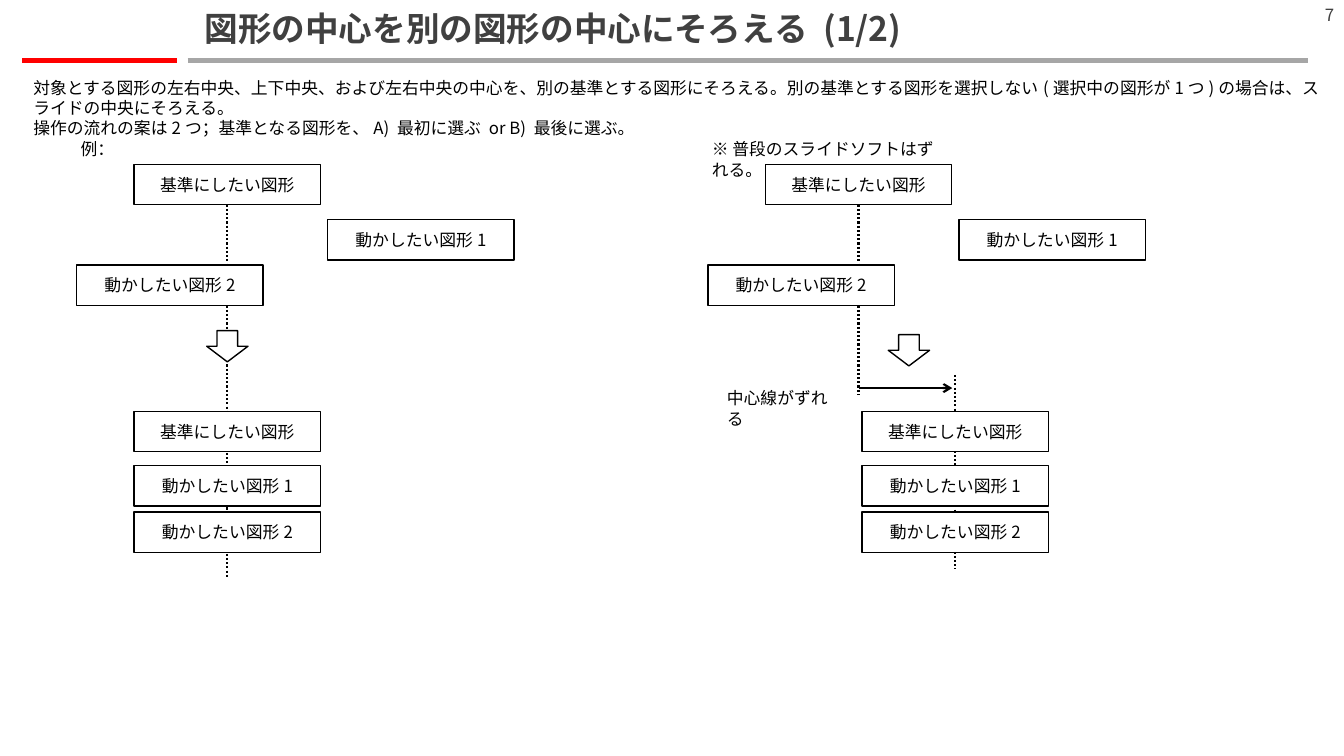
from lxml.etree import SubElement
from pptx import Presentation
from pptx.dml.color import RGBColor
from pptx.enum.dml import MSO_LINE
from pptx.enum.shapes import MSO_CONNECTOR, MSO_SHAPE
from pptx.enum.text import MSO_ANCHOR, PP_ALIGN
from pptx.oxml.ns import qn
from pptx.util import Inches, Pt

COLORS = {"black": "000000", "white": "FFFFFF", "dark": "404040", "gray": "A6A6A6", "red": "FF0000"}
FONT = "Noto Sans CJK JP"
LABELS = ["基準にしたい図形", "動かしたい図形1", "動かしたい図形2"]
BOX_WIDTH, BOX_HEIGHT = 1.85, 0.4
BEFORE_LEFTS = [0.57, 2.49, 0]
BEFORE_TOPS = [0.29, 0.84, 1.29]
AFTER_TOPS = [2.74, 3.28, 3.74]


def color(name):
    return RGBColor.from_string(COLORS[name])


def write(shape, lines, size=12, ink="black", bold=None, align=PP_ALIGN.LEFT,
          anchor=MSO_ANCHOR.TOP, margins=(0.04, 0.04), spacing=None):
    frame = shape.text_frame
    frame.word_wrap = True
    frame.vertical_anchor = anchor
    frame.margin_left = frame.margin_right = Inches(margins[0])
    frame.margin_top = frame.margin_bottom = Inches(margins[1])
    for index, line in enumerate(lines):
        paragraph = frame.add_paragraph() if index else frame.paragraphs[0]
        paragraph.alignment = align
        paragraph.line_spacing = spacing
        run = paragraph.add_run()
        run.text = line
        run.font.size = Pt(size)
        run.font.bold = bold
        run.font.name = FONT
        run.font.color.rgb = color(ink)
        SubElement(run.font._element, qn("a:ea"), typeface=FONT)


def add_text(slide, left, top, width, height, lines, **style):
    box = slide.shapes.add_textbox(Inches(left), Inches(top), Inches(width), Inches(height))
    write(box, lines, **style)


def add_line(slide, start, end, ink="black", width=1.5, dotted=False, arrow=False):
    line = slide.shapes.add_connector(MSO_CONNECTOR.STRAIGHT, *map(Inches, start + end))
    line.line.color.rgb = color(ink)
    line.line.width = Pt(width)
    if dotted:
        line.line.dash_style = MSO_LINE.ROUND_DOT
    if arrow:
        SubElement(line.line._get_or_add_ln(), qn("a:tailEnd"), type="arrow")
    SubElement(line._element.spPr, qn("a:effectLst"))
    return line


def add_outlined(slide, kind, left, top, width, height):
    shape = slide.shapes.add_shape(kind, Inches(left), Inches(top), Inches(width), Inches(height))
    shape.shadow.inherit = False
    shape.fill.solid()
    shape.fill.fore_color.rgb = color("white")
    shape.line.color.rgb = color("black")
    shape.line.width = Pt(1)
    return shape


def add_boxes(slide, lefts, tops):
    boxes = []
    for label, left, top in zip(LABELS, lefts, tops):
        box = add_outlined(slide, MSO_SHAPE.RECTANGLE, left, top, BOX_WIDTH, BOX_HEIGHT)
        write(box, [label], align=PP_ALIGN.CENTER, anchor=MSO_ANCHOR.MIDDLE)
        boxes.append(box)
    return boxes


def add_header(slide, left, top, width):
    # Rules, page number and title
    add_line(slide, (left + 1.64, top + 0.6), (left + width, top + 0.6), "gray", 3)
    add_line(slide, (left, top + 0.6), (left + 1.54, top + 0.6), "red", 3)
    add_text(slide, left + 12.32, top, 0.79, 0.28, ["7"], ink="dark",
             align=PP_ALIGN.RIGHT, margins=(0.1, 0.05))
    add_text(slide, left + 1.71, top, 9.47, 0.6, ["図形の中心を別の図形の中心にそろえる (1/2)"],
             size=24, ink="dark", bold=True, anchor=MSO_ANCHOR.MIDDLE,
             margins=(0.1, 0.05), spacing=0.9)


def add_description(slide, left, top, width, height):
    add_text(slide, left, top, width, height, [
        "対象とする図形の左右中央、上下中央、および左右中央の中心を、別の基準とする図形にそろえる。"
        "別の基準とする図形を選択しない(選択中の図形が1つ)の場合は、スライドの中央にそろえる。",
        "操作の流れの案は2つ；基準となる図形を、A) 最初に選ぶ or B) 最後に選ぶ。",
    ])


def add_example(slide, left, top, caption, caption_width, after_left, axis_bottom, arrow_at):
    # Dotted centre line, placed behind the boxes
    center = left + BEFORE_LEFTS[0] + BOX_WIDTH / 2
    axis = add_line(slide, (center, top + 0.69), (center, top + axis_bottom), dotted=True)

    # Boxes before and after alignment
    before = add_boxes(slide, [left + x for x in BEFORE_LEFTS], [top + y for y in BEFORE_TOPS])
    axis.begin_connect(before[0], 2)
    if after_left != BEFORE_LEFTS[0]:
        add_shift(slide, left, top, center, left + after_left + BOX_WIDTH / 2)
    add_boxes(slide, [left + after_left] * 3, [top + y for y in AFTER_TOPS])

    # Block arrow and caption
    add_outlined(slide, MSO_SHAPE.DOWN_ARROW, left + arrow_at[0], top + arrow_at[1], 0.41, 0.31)
    add_text(slide, left, top, caption_width, 0.28, [caption])


def add_shift(slide, left, top, old_center, new_center):
    # New centre line and the offset from the old one
    add_line(slide, (new_center, top + 2.38), (new_center, top + 4.3), dotted=True)
    add_text(slide, left + 0.15, top + 2.47, 1.14, 0.28, ["中心線がずれる"])
    add_line(slide, (old_center, top + 2.51), (new_center - 0.03, top + 2.51), arrow=True)


def main():
    presentation = Presentation()
    presentation.slide_width = Inches(13.33)
    presentation.slide_height = Inches(7.5)
    slide = presentation.slides.add_slide(presentation.slide_layouts[6])
    add_header(slide, 0.22, 0, 12.75)
    add_description(slide, 0.29, 0.73, 12.9, 0.48)
    add_example(slide, 0.76, 1.34, "例：", 0.42, after_left=0.57,
                axis_bottom=4.39, arrow_at=(1.29, 1.94))
    add_example(slide, 7.02, 1.34, "※ 普段のスライドソフトはずれる。", 2.36, after_left=1.53,
                axis_bottom=2.58, arrow_at=(1.79, 1.98))
    presentation.save("out.pptx")


if __name__ == "__main__":
    main()
